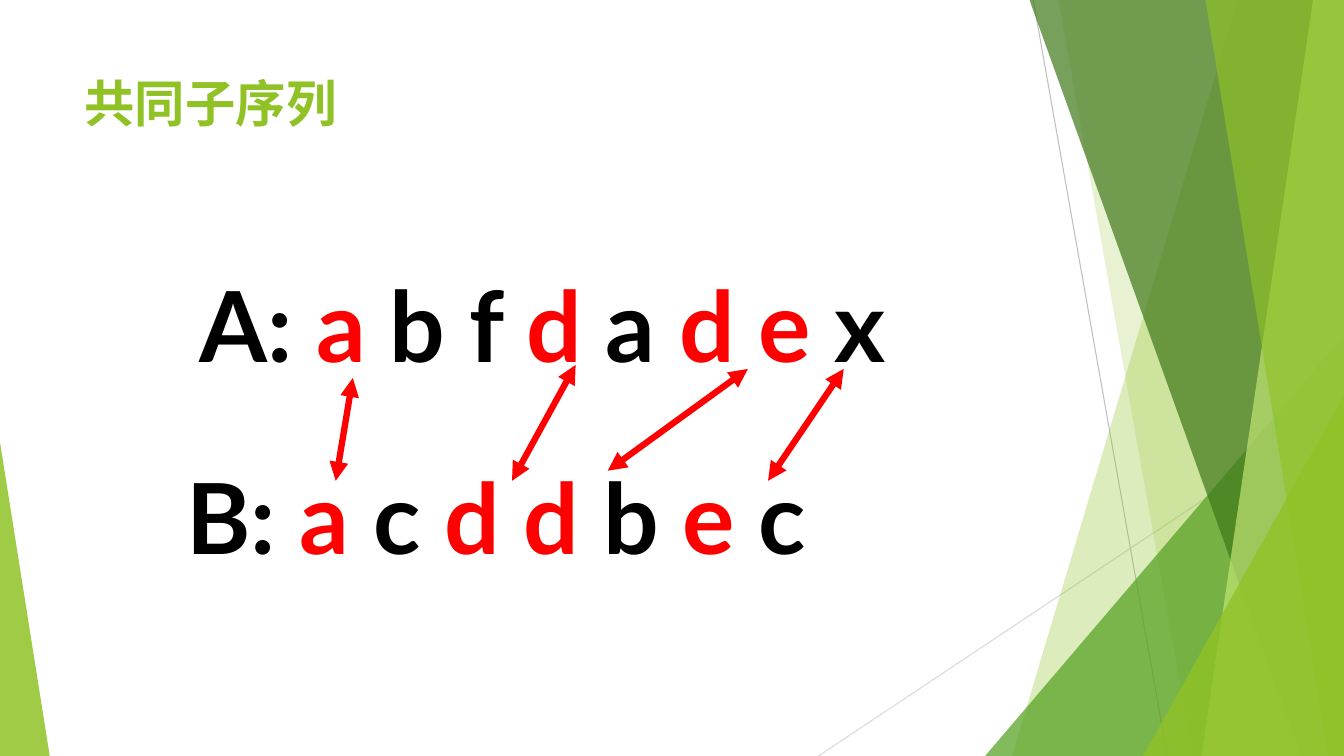
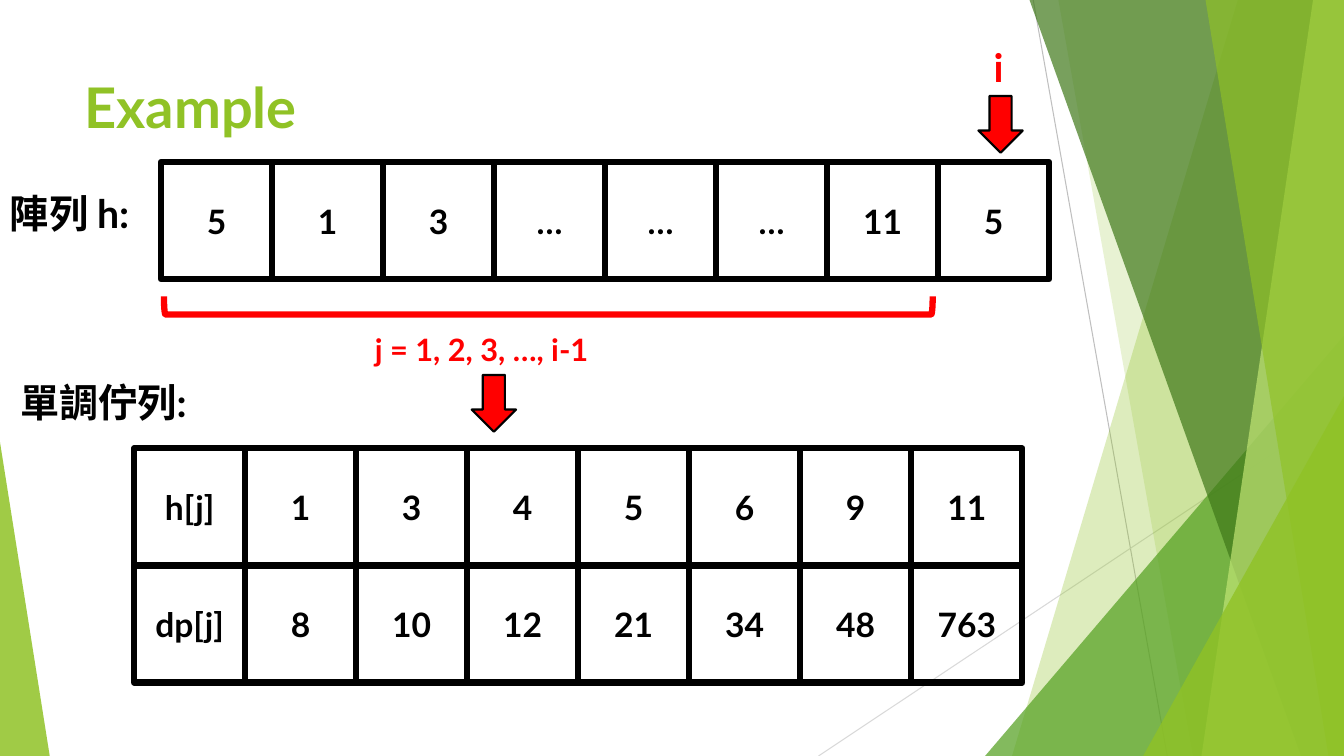
import collections
import itertools

import pptx
import pptx.dml.color
import pptx.enum.shapes
import pptx.enum.text
import pptx.oxml.ns
import pptx.util
from lxml import etree

Theme = collections.namedtuple(
    "Theme", "font ink red lime leaf forest pale rule faint title latin_title sequence label index cell"
)
THEME = Theme(
    font="Lato", ink="000000", red="FF0000", lime="90C226", leaf="54A021", forest="3F7819",
    pale="C0E474", rule="BFBFBF", faint="D9D9D9",
    title=36, latin_title=40, sequence=70, label=28, index=22, cell=24,
)
Band = collections.namedtuple("Band", "top_x bottom_x color opacity")
Wedge = collections.namedtuple("Wedge", "left top width apex color opacity")

SHAPES = pptx.enum.shapes.MSO_SHAPE
STRAIGHT = pptx.enum.shapes.MSO_CONNECTOR.STRAIGHT
CENTER = pptx.enum.text.PP_ALIGN.CENTER
rgb = pptx.dml.color.RGBColor.from_string
qn = pptx.oxml.ns.qn

deck = pptx.Presentation()
deck.slide_width = pptx.util.Emu(12192000)
deck.slide_height = pptx.util.Emu(6858000)
COLUMN, ROW = deck.slide_width / 100, deck.slide_height / 100


def place(*shares):
    """Turn alternating percentages of slide width and height into EMU."""
    return [round(share * unit) for share, unit in zip(shares, itertools.cycle((COLUMN, ROW)))]


def paint(shape, fill=None, opacity=100, line=None, width=0):
    """Set fill, outline and no shadow; connectors take only the outline."""
    if fill:
        shape.fill.solid()
        shape.fill.fore_color.rgb = rgb(fill)
        tint = shape._element.spPr.find(qn("a:solidFill"))[0]
        etree.SubElement(tint, qn("a:alpha"), val=str(opacity * 1000))
    elif hasattr(shape, "fill"):
        shape.fill.background()
    if line:
        shape.line.color.rgb = rgb(line)
        shape.line.width = pptx.util.Pt(width)
    else:
        shape.line.fill.background()
    etree.SubElement(shape._element.spPr, qn("a:effectLst"))


# Backdrop shared by both slides
backdrop_rules = [
    ((76.88, 0, 86.85, 100), THEME.rule),
    ((100, 53.73, 60.9, 100), THEME.faint),
]
facets = [
    Band(92.1, 75.3, THEME.lime, 30),
    Band(78.75, 88.75, THEME.lime, 20),
    Wedge(73.3, 44.4, 26.7, 1, THEME.leaf, 72),
    Band(76.6, 96.8, THEME.forest, 70),
    Band(97.7, 89.4, THEME.pale, 70),
    Band(89.7, 98.85, THEME.lime, 65),
    Wedge(85.05, 52.4, 14.95, 1, THEME.lime, 80),
    Wedge(0, 58.5, 3.7, 0, THEME.lime, 85),
]
subsequence, example = [deck.slides.add_slide(deck.slide_layouts[6]) for _ in range(2)]
for slide in (subsequence, example):
    for ends, color in backdrop_rules:
        rule = slide.shapes.add_connector(STRAIGHT, *place(*ends))
        paint(rule, line=color, width=0.75)
    for facet in facets:
        if isinstance(facet, Band):
            outline = slide.shapes.build_freeform(*place(facet.top_x, 0), scale=1.0)
            corners = [(100, 0), (100, 100), (facet.bottom_x, 100)]
            outline.add_line_segments([place(*corner) for corner in corners], close=True)
            face = outline.convert_to_shape()
        else:
            extent = place(facet.left, facet.top, facet.width, 100 - facet.top)
            face = slide.shapes.add_shape(SHAPES.ISOSCELES_TRIANGLE, *extent)
            face.adjustments[0] = facet.apex
        paint(face, facet.color, facet.opacity)

# Titles, sequences and labels; "|" marks each change to the next colour
title_area = (5.55, 8.93, 70.5, 19.2)
sequence_colors = (THEME.ink, THEME.red)
captions = [
    (subsequence, title_area, THEME.title, (THEME.lime,), "共同子序列"),
    (subsequence, (14.1, 34.4, 58.35, 17.07), THEME.sequence, sequence_colors, "A: |a| b f |d| a |d e |x"),
    (subsequence, (13.12, 59.73, 52.65, 17.07), THEME.sequence, sequence_colors, "B: |a| c| d d| b |e| c"),
    (example, title_area, THEME.latin_title, (THEME.lime,), "Example"),
    (example, (0.75, 49.4, 14.4, 7.6), THEME.label, (THEME.ink,), "單調佇列:"),
    (example, (0, 24.4, 11.1, 7.6), THEME.label, (THEME.ink,), "陣列 h:"),
    (example, (27.15, 43.1, 20.03, 6.27), THEME.index, (THEME.red,), "j = 1, 2, 3, …, i-1"),
    (example, (73.2, 5.07, 2.4, 7.6), THEME.label, (THEME.red,), "i"),
]
passages = []
for slide, area, size, colors, text in captions:
    frame = slide.shapes.add_textbox(*place(*area)).text_frame
    frame.word_wrap = area == title_area
    passages.append((frame, size, None, colors, text))

# Matching letters of the two sequences
matches = [
    (26.25, 50, 24.98, 63.6),
    (42.83, 48.27, 38.1, 63.6),
    (55.65, 48.8, 45.22, 62.27),
    (62.78, 48.8, 57.15, 63.6),
]
for ends in matches:
    match = subsequence.shapes.add_connector(STRAIGHT, *place(*ends))
    paint(match, line=THEME.red, width=4.5)
    stroke = match._element.spPr.find(qn("a:ln"))
    for end in ("a:headEnd", "a:tailEnd"):
        etree.SubElement(stroke, qn(end), type="triangle")

# Array and monotonic queue, drawn as boxes of memory
CELL_WIDTH, CELL_HEIGHT = 8.26, 15.5
array_left, array_top = 11.98, 21.43
memory = [
    (array_left, array_top, ["5 1 3 … … … 11 5"]),
    (9.98, 59.3, ["h[j] 1 3 4 5 6 9 11", "dp[j] 8 10 12 21 34 48 763"]),
]
for left, top, rows in memory:
    for row_index, values in enumerate(rows):
        for column_index, value in enumerate(values.split()):
            corner = (left + column_index * CELL_WIDTH, top + row_index * CELL_HEIGHT)
            cell = example.shapes.add_shape(
                SHAPES.RECTANGLE, *place(*corner, CELL_WIDTH, CELL_HEIGHT)
            )
            paint(cell, line=THEME.ink, width=4.5)
            cell.text_frame.vertical_anchor = pptx.enum.text.MSO_ANCHOR.MIDDLE
            passages.append((cell.text_frame, THEME.cell, CENTER, (THEME.ink,), value))

# Bracket under every array cell before i, and pointers to i and j
span, depth = place(57.2, 2.4)
middle_x, middle_y = place(40.8, 40.4)
bracket = example.shapes.add_shape(
    SHAPES.LEFT_BRACKET, middle_x - depth // 2, middle_y - span // 2, depth, span
)
bracket.rotation = 270
paint(bracket, line=THEME.red, width=4.5)
for left, top in ((72.8, 12.7), (35.1, 49.6)):
    pointer = example.shapes.add_shape(SHAPES.DOWN_ARROW, *place(left, top, 3.3, 7.5))
    paint(pointer, THEME.red, line=THEME.ink, width=1.5)

# Lettering
for frame, size, alignment, colors, text in passages:
    paragraph = frame.paragraphs[0]
    paragraph.alignment = alignment
    lettering = {"name": THEME.font, "size": pptx.util.Pt(size), "bold": True}
    for part, color in zip(text.split("|"), itertools.cycle(colors)):
        run = paragraph.add_run()
        run.text = part
        for attribute, value in lettering.items():
            setattr(run.font, attribute, value)
        run.font.color.rgb = rgb(color)

deck.save("out.pptx")
